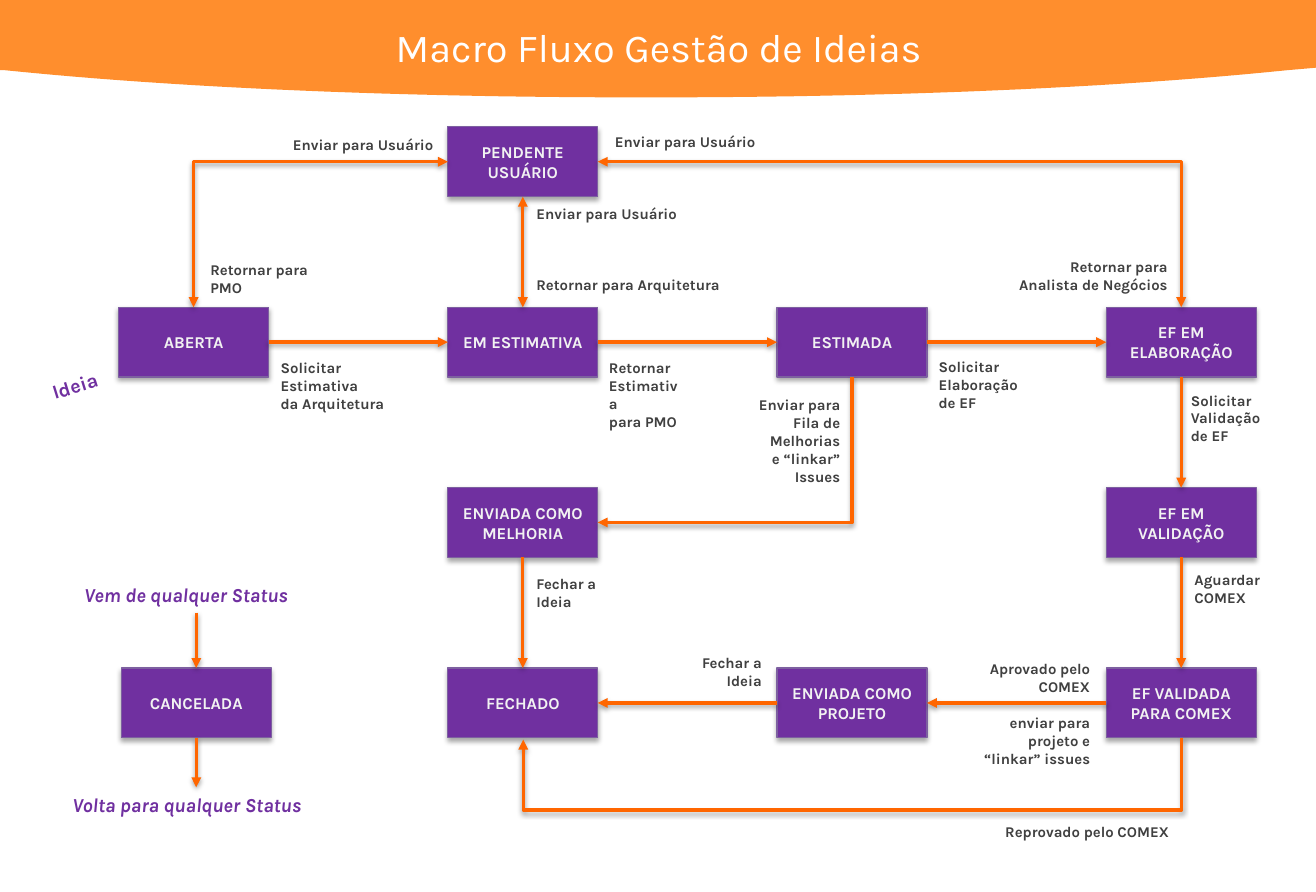
import dataclasses
from typing import Any

import lxml.etree
import pptx
import pptx.dml.color
import pptx.enum.shapes
import pptx.enum.text
import pptx.oxml.ns
import pptx.util

Pt = pptx.util.Pt
qn = pptx.oxml.ns.qn
Align = pptx.enum.text.PP_ALIGN
Anchor = pptx.enum.text.MSO_ANCHOR
TOP, LEFT, BOTTOM, RIGHT = range(4)
PAGE_WIDTH, PAGE_HEIGHT = 796.32, 540
BOX_WIDTH, BOX_HEIGHT = 90.7, 42.3


@dataclasses.dataclass(frozen=True)
class Theme:
    font: str = "Karla"
    banner: str = "FF8E2D"
    arrow: str = "FF6600"
    box: str = "7030A0"
    box_edge: str = "7D60A0"
    box_text: str = "F2F2F2"
    label: str = "404040"
    white: str = "FFFFFF"
    title_size: float = 24
    note_size: float = 12
    box_size: float = 10
    label_size: float = 9


def rgb(value):
    return pptx.dml.color.RGBColor.from_string(value)


def write(frame, text, *, font, size, color, bold=True, italic=False,
          align=Align.LEFT, anchor=Anchor.TOP):
    """Fill a text frame, one paragraph per line of text."""
    frame.word_wrap = True
    frame.auto_size = pptx.enum.text.MSO_AUTO_SIZE.NONE
    frame.vertical_anchor = anchor
    for index, line in enumerate(text.split("\n")):
        para = frame.add_paragraph() if index else frame.paragraphs[0]
        para.alignment = align
        span = para.add_run()
        span.text = line
        span.font.name, span.font.size = font, Pt(size)
        span.font.bold, span.font.italic = bold, italic
        span.font.color.rgb = rgb(color)


def add_shadow(effects, opacity, distance):
    shadow = lxml.etree.SubElement(
        effects, qn("a:outerShdw"), blurRad=str(Pt(3.1)),
        dist=str(Pt(distance)), dir="5400000", rotWithShape="0")
    color = lxml.etree.SubElement(shadow, qn("a:srgbClr"), val="000000")
    lxml.etree.SubElement(color, qn("a:alpha"), val=str(opacity * 1000))


def curve(start, first, second, end, steps=24):
    """Points along a cubic curve, without its start."""
    for step in range(1, steps + 1):
        t = step / steps
        weights = ((1 - t) ** 3, 3 * t * (1 - t) ** 2, 3 * t * t * (1 - t), t ** 3)
        yield tuple(sum(w * p[axis] for w, p in zip(weights, (start, first, second, end)))
                    for axis in (0, 1))


@dataclasses.dataclass
class Flow:
    theme: Theme
    page: Any

    def outline(self, points, close):
        start, *rest = [(Pt(x), Pt(y)) for x, y in points]
        builder = self.page.shapes.build_freeform(*start, scale=1.0)
        builder.add_line_segments(rest, close=close)
        shape = builder.convert_to_shape()
        shape.shadow.inherit = False
        return shape

    def banner(self):
        low_right, middle, low_left = (779, 42.5), (391, 59), (2.9, 42.5)
        points = [(0, 0), (PAGE_WIDTH, 0), (PAGE_WIDTH, 41), low_right,
                  *curve(low_right, (674, 53.3), (538.6, 59), middle),
                  *curve(middle, (243.4, 59), (108, 53.3), low_left), (0, 42.5)]
        shape = self.outline(points, close=True)
        shape.fill.solid()
        shape.fill.fore_color.rgb = rgb(self.theme.banner)
        shape.line.fill.background()
        tree = self.page.shapes._spTree
        tree.remove(shape._element)
        tree.insert(2, shape._element)  # behind the title

    def title(self, text):
        box = self.page.shapes.title
        box.left, box.top, box.width, box.height = Pt(183.6), Pt(10), Pt(430), Pt(36)
        write(box.text_frame, text, font=self.theme.font, size=self.theme.title_size,
              color=self.theme.white, bold=False, align=Align.CENTER, anchor=Anchor.MIDDLE)

    def box(self, text, left, top):
        shape = self.page.shapes.add_shape(
            pptx.enum.shapes.MSO_SHAPE.FLOWCHART_PROCESS,
            Pt(left), Pt(top), Pt(BOX_WIDTH), Pt(BOX_HEIGHT))
        shape.fill.solid()
        shape.fill.fore_color.rgb = rgb(self.theme.box)
        shape.line.color.rgb = rgb(self.theme.box_edge)
        shape.line.width = Pt(0.75)
        shape.shadow.inherit = False
        add_shadow(shape._element.spPr.find(qn("a:effectLst")), 35, 1.8)
        write(shape.text_frame, text, font=self.theme.font, size=self.theme.box_size,
              color=self.theme.box_text, align=Align.CENTER, anchor=Anchor.MIDDLE)
        return shape

    def text(self, text, left, top, width, height, *, rotation=0, **style):
        box = self.page.shapes.add_textbox(Pt(left), Pt(top), Pt(width), Pt(height))
        box.rotation = rotation
        base = dict(font=self.theme.font, size=self.theme.label_size, color=self.theme.label)
        write(box.text_frame, text, **(base | style))

    def note(self, text, left, top, width, **style):
        self.text(text, left, top, width, 21.6, size=self.theme.note_size,
                  color=self.theme.box, **style)

    def style_arrow(self, shape, ends):
        shape.line.color.rgb = rgb(self.theme.arrow)
        shape.line.width = Pt(2)
        for end in ends:
            lxml.etree.SubElement(shape.line._get_or_add_ln(), qn(f"a:{end}End"), type="triangle")
        properties = shape._element.spPr
        effects = properties.find(qn("a:effectLst"))
        if effects is None:
            effects = lxml.etree.SubElement(properties, qn("a:effectLst"))
        add_shadow(effects, 38, 1.6)

    def arrow(self, begin, end, ends=("tail",), corner=False):
        """Join two ends, each a (box, side) pair or an (x, y) point."""
        kinds = pptx.enum.shapes.MSO_CONNECTOR
        connector = self.page.shapes.add_connector(
            kinds.ELBOW if corner else kinds.STRAIGHT, 0, 0, 0, 0)
        if isinstance(begin[0], (int, float)):
            connector.begin_x, connector.begin_y = map(Pt, begin)
        else:
            connector.begin_connect(*begin)
        if isinstance(end[0], (int, float)):
            connector.end_x, connector.end_y = map(Pt, end)
        else:
            connector.end_connect(*end)
        if corner:
            connector._element.spPr.find(qn("a:prstGeom")).set("prst", "bentConnector2")
        self.style_arrow(connector, ends)

    def loop_arrow(self, points):
        shape = self.outline(points, close=False)
        shape.fill.background()
        self.style_arrow(shape, ("tail",))


def main():
    deck = pptx.Presentation()
    deck.slide_width, deck.slide_height = Pt(PAGE_WIDTH), Pt(PAGE_HEIGHT)
    flow = Flow(Theme(), deck.slides.add_slide(deck.slide_layouts[5]))
    flow.banner()
    flow.title("Macro Fluxo Gestão de Ideias")

    # Status boxes on a grid of columns and rows
    cells = {
        "PENDENTE USUÁRIO": (1, 0),
        "ABERTA": (0, 1), "EM ESTIMATIVA": (1, 1),
        "ESTIMADA": (2, 1), "EF EM ELABORAÇÃO": (3, 1),
        "ENVIADA COMO MELHORIA": (1, 2), "EF EM VALIDAÇÃO": (3, 2),
        "FECHADO": (1, 3), "ENVIADA COMO PROJETO": (2, 3), "EF VALIDADA PARA COMEX": (3, 3),
    }
    (pending, opened, estimating, estimated, drafting, improvement, validating,
     closed, project, validated) = [
        flow.box(name, 71.8 + 199.2 * column, 76.8 + 109.2 * row)
        for name, (column, row) in cells.items()]
    cancelled = flow.box("CANCELADA", 73.4, 404.4)

    # Straight arrows
    for source, target in ((opened, estimating), (estimating, estimated), (estimated, drafting)):
        flow.arrow((source, RIGHT), (target, LEFT))
    for source, target in ((validated, project), (project, closed)):
        flow.arrow((source, LEFT), (target, RIGHT))
    for source, target in ((drafting, validating), (validating, validated), (improvement, closed)):
        flow.arrow((source, BOTTOM), (target, TOP))
    both = ("head", "tail")
    flow.arrow((estimating, TOP), (pending, BOTTOM), both)
    flow.arrow((118.75, 370.8), (cancelled, TOP))
    flow.arrow((cancelled, BOTTOM), (118.75, 476.6))

    # Arrows with corners
    flow.arrow((pending, LEFT), (opened, TOP), both, corner=True)
    flow.arrow((pending, RIGHT), (drafting, TOP), both, corner=True)
    flow.arrow((improvement, RIGHT), (estimated, BOTTOM), ("head",), corner=True)
    flow.loop_arrow([(715, 446.7), (715, 490.3), (316.6, 490.3), (316.6, 447.8)])

    # Purple notes
    flow.note("Ideia", 23.8, 221, 53.3, rotation=342.8)
    flow.note("Vem de qualquer Status", 43.9, 349.2, 160, italic=True)
    flow.note("Volta para qualquer Status", 36.7, 476.6, 175, italic=True)

    # Transition labels: text, left, top, width, height
    for label in (
        ("Retornar para\nPMO", 120.2, 154.4, 90, 29),
        ("Enviar para Usuário", 365, 77, 120, 18),
        ("Enviar para Usuário", 317.5, 120.2, 172, 18),
        ("Retornar para Arquitetura", 317.5, 163.4, 172, 18),
        ("Solicitar\nEstimativa\nda Arquitetura", 162.7, 213.8, 90, 40),
        ("Retornar\nEstimativa\npara PMO", 361.4, 213.8, 58.3, 51),
        ("Solicitar Elaboração\nde EF", 560.9, 213.1, 80, 40),
        ("Solicitar Validação\nde EF", 713.5, 233.3, 63.4, 40),
        ("Aguardar COMEX", 715.7, 342, 63.4, 29),
        ("Reprovado pelo COMEX", 601.2, 494.6, 151.2, 18),
        ("Fechar a\nIdeia", 317.5, 344.2, 102.2, 29),
    ):
        flow.text(*label)
    for label in (
        ("Enviar para Usuário", 120.2, 78.5, 149, 18),
        ("Retornar para\nAnalista de Negócios", 573.5, 152.6, 140, 29),
        ("Enviar para Fila de Melhorias\ne “linkar” Issues", 438.5, 236.2, 77, 62),
        ("Fechar a\nIdeia", 365.8, 392.4, 102.2, 29),
        ("Aprovado pelo COMEX", 578.9, 396, 87.8, 29),
        ("enviar para projeto e “linkar” issues", 578.9, 428.4, 87.8, 40),
    ):
        flow.text(*label, align=Align.RIGHT)
    deck.save("out.pptx")


if __name__ == "__main__":
    main()
